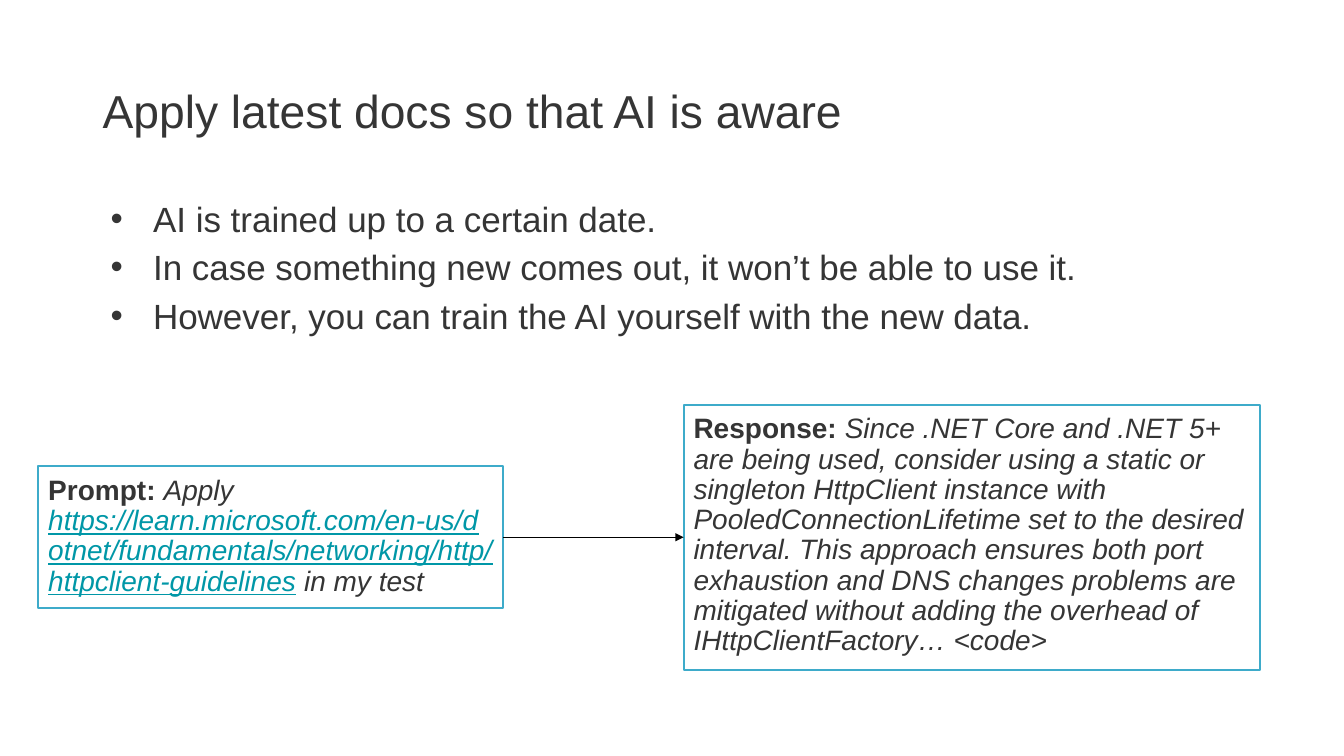
from lxml import etree
from pptx import Presentation
from pptx.dml.color import RGBColor
from pptx.enum.shapes import MSO_CONNECTOR as Connector, MSO_SHAPE as Shape
from pptx.enum.text import MSO_ANCHOR as Anchor, PP_ALIGN as Align
from pptx.oxml.ns import qn
from pptx.util import Inches, Pt

FONT = "Arial"
TEXT = RGBColor(0x35, 0x35, 0x35)
LINK = RGBColor(0x00, 0x97, 0xA7)
BORDER = RGBColor(0x3E, 0xAB, 0xCA)
ARROW = RGBColor(0x00, 0x00, 0x00)

TITLE = "Apply latest docs so that AI is aware"
POINTS = [
    "AI is trained up to a certain date.",
    "In case something new comes out, it won’t be able to use it.",
    "However, you can train the AI yourself with the new data.",
]
DOCS_URL = ("https://learn.microsoft.com/en-us/dotnet/fundamentals/"
            "networking/http/httpclient-guidelines")
ANSWER = (
    "Since .NET Core and .NET 5+ are being used, consider using a static or "
    "singleton HttpClient instance with PooledConnectionLifetime set to the "
    "desired interval. This approach ensures both port exhaustion and DNS "
    "changes problems are mitigated without adding the overhead of "
    "IHttpClientFactory… <code>"
)


def add_run(paragraph, text, size, color=TEXT, bold=False, italic=False,
            underline=False):
    run = paragraph.add_run()
    run.text = text
    font = run.font
    font.name, font.size, font.color.rgb = FONT, Pt(size), color
    font.bold, font.italic, font.underline = bold, italic, underline


def prepare_frame(frame, anchor, margin_y):
    frame.word_wrap = True
    frame.vertical_anchor = anchor
    frame.margin_left = frame.margin_right = Inches(0.1)
    frame.margin_top = frame.margin_bottom = Inches(margin_y)


def add_bullet(paragraph):
    properties = paragraph._p.get_or_add_pPr()
    properties.set("marL", str(Inches(0.5)))
    properties.set("indent", str(Inches(-0.42)))
    color = etree.SubElement(properties, qn("a:buClr"))
    etree.SubElement(color, qn("a:srgbClr"), val=str(TEXT))
    etree.SubElement(properties, qn("a:buFont"), typeface=FONT)
    etree.SubElement(properties, qn("a:buChar"), char="•")


def add_title(slide, left, top, width, height):
    frame = slide.shapes.add_textbox(left, top, width, height).text_frame
    prepare_frame(frame, Anchor.MIDDLE, 0.05)
    paragraph = frame.paragraphs[0]
    paragraph.line_spacing = 0.9
    add_run(paragraph, TITLE, 33)


def add_points(slide, left, top, width, height):
    frame = slide.shapes.add_textbox(left, top, width, height).text_frame
    prepare_frame(frame, Anchor.TOP, 0.05)
    for index, point in enumerate(POINTS):
        paragraph = frame.add_paragraph() if index else frame.paragraphs[0]
        add_bullet(paragraph)
        paragraph.line_spacing = 1.15
        add_run(paragraph, point, 25)


def add_message(slide, left, top, width, height, speaker, parts):
    """Add an outlined box: a bold speaker, then (text, format) parts in italics."""
    message = slide.shapes.add_shape(Shape.RECTANGLE, left, top, width, height)
    message.shadow.inherit = False
    message.fill.background()
    message.line.color.rgb = BORDER
    message.line.width = Pt(1.5)
    prepare_frame(message.text_frame, Anchor.TOP, 0.1)
    paragraph = message.text_frame.paragraphs[0]
    paragraph.alignment = Align.LEFT
    paragraph.line_spacing = 0.9
    add_run(paragraph, f"{speaker}: ", 20, bold=True)
    for text, text_format in parts:
        add_run(paragraph, text, 20, italic=True, **text_format)
    return message


def add_arrow(slide, source, target):
    """Link the right side of source to the left side of target."""
    arrow = slide.shapes.add_connector(Connector.STRAIGHT, 0, 0, 0, 0)
    arrow.begin_connect(source, 3)
    arrow.end_connect(target, 1)
    arrow.line.color.rgb = ARROW
    arrow.line.width = Pt(0.75)
    etree.SubElement(arrow.line._get_or_add_ln(), qn("a:tailEnd"), type="triangle")
    etree.SubElement(arrow._element.spPr, qn("a:effectLst"))


def add_exchange(slide, left, middle):
    """Place prompt and response, both centred on the line at middle."""
    prompt_width, prompt_height = Inches(4.61), Inches(1.41)
    response_width, response_height = Inches(5.72), Inches(2.63)
    gap = Inches(1.79)
    prompt = add_message(
        slide, left, middle - prompt_height // 2, prompt_width, prompt_height,
        "Prompt", [("Apply ", {}),
                   (DOCS_URL, {"color": LINK, "underline": True}),
                   (" in my test", {})])
    response = add_message(
        slide, left + prompt_width + gap, middle - response_height // 2,
        response_width, response_height, "Response", [(ANSWER, {})])
    add_arrow(slide, prompt, response)


def main():
    deck = Presentation()
    deck.slide_width, deck.slide_height = Inches(13.33), Inches(7.5)
    slide = deck.slides.add_slide(deck.slide_layouts[6])
    left, width, height = Inches(0.92), Inches(11.5), Inches(1.45)
    title_top = Inches(0.4)
    add_title(slide, left, title_top, width, height)
    add_points(slide, left, title_top + height, width, height)
    add_exchange(slide, Inches(0.38), Inches(5.33))
    deck.save("out.pptx")


if __name__ == "__main__":
    main()
